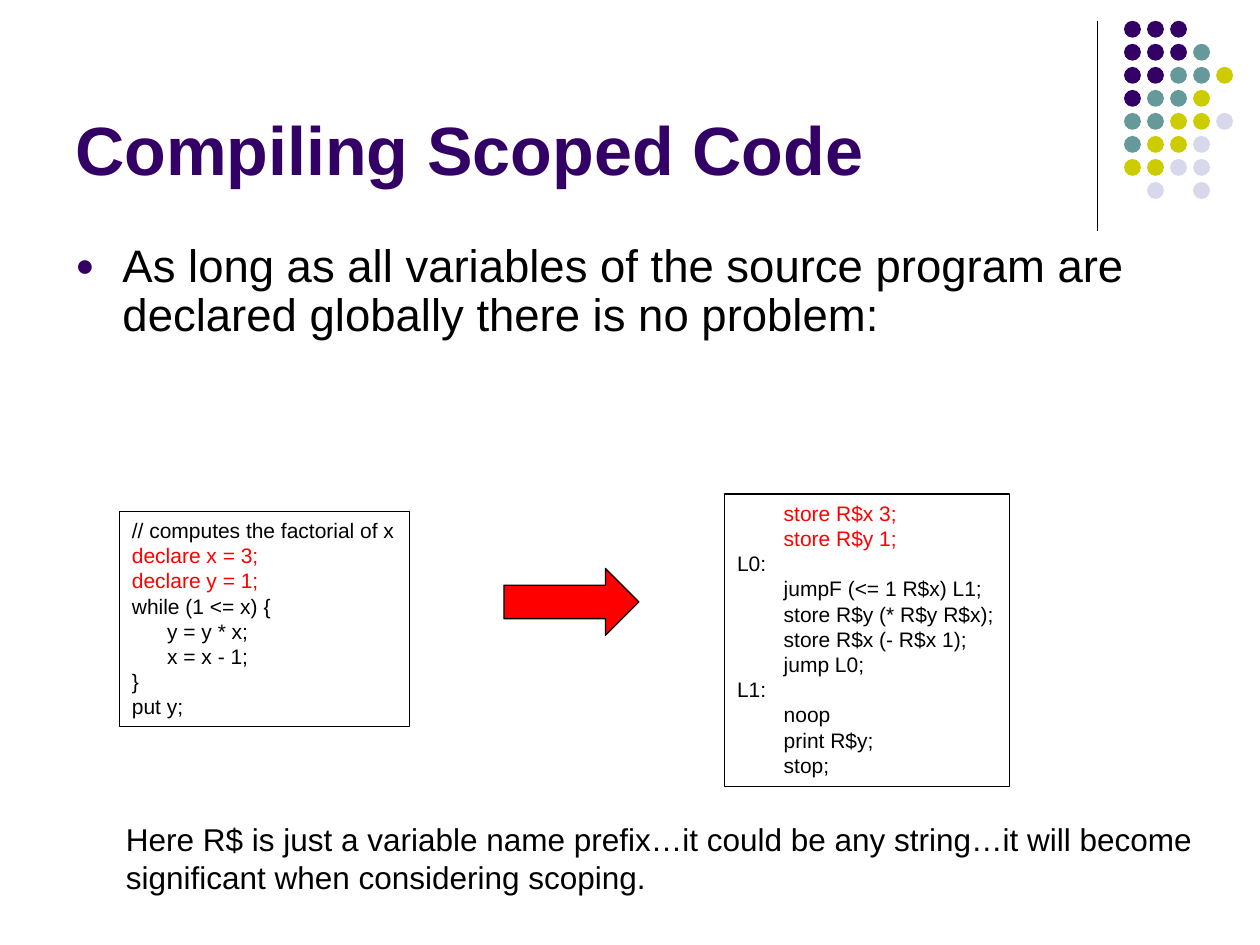
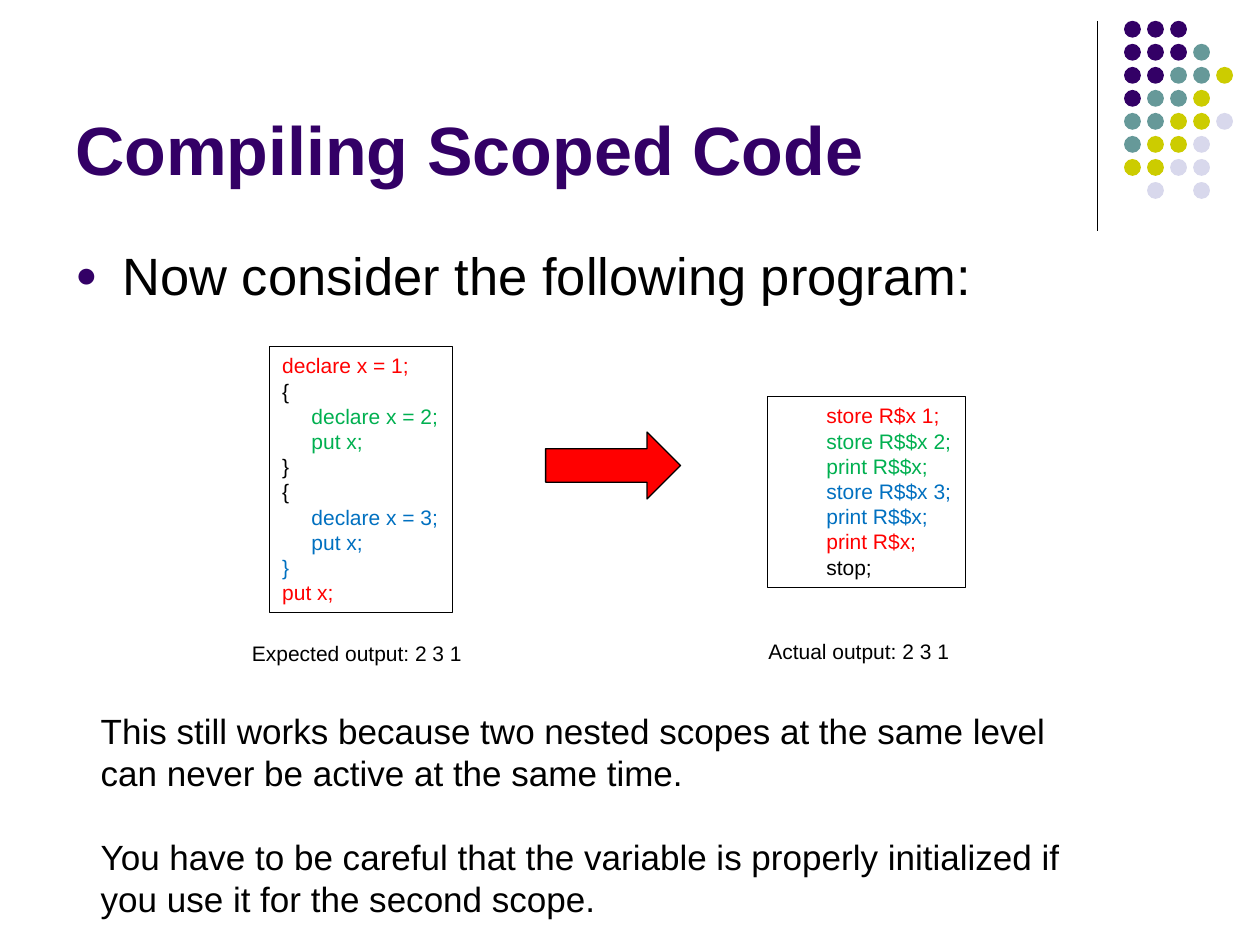
from lxml import etree
from pptx import Presentation
from pptx.dml.color import RGBColor
from pptx.enum.shapes import MSO_CONNECTOR, MSO_SHAPE
from pptx.enum.text import MSO_ANCHOR, PP_ALIGN
from pptx.oxml.ns import qn
from pptx.util import Cm, Pt

STRAIGHT = MSO_CONNECTOR.STRAIGHT
OVAL, RECTANGLE, ARROW = MSO_SHAPE.OVAL, MSO_SHAPE.RECTANGLE, MSO_SHAPE.RIGHT_ARROW
TOP, BOTTOM, LEFT = MSO_ANCHOR.TOP, MSO_ANCHOR.BOTTOM, PP_ALIGN.LEFT

FONT = "Arial"
BLACK, RED, GREEN, BLUE = "000000", "FF0000", "00B050", "0070C0"
PURPLE, TEAL, YELLOW, LILAC = "330066", "669999", "CCCC00", "D8D8EC"

DOT_COLOURS = {"P": PURPLE, "T": TEAL, "Y": YELLOW, "L": LILAC}
DOT_ROWS = ["PPP", "PPPT", "PPTTY", "PTTY", "TTYYL", "TYYL", "YYLL", " L L"]
DOT_LEFT, DOT_TOP, DOT_SIZE = 22.66, 0.42, 0.34
DOT_PITCH = 3.25 / 7

# Each code line is (indented, colour, text).
SLIDES = [
    {
        "bullet": "As long as all variables of the source program are "
                  "declared globally there is no problem:",
        "bullet_size": 26,
        "bullet_spacing": 0.9,
        "arrow": (10.16, 11.46),
        "listings": [
            {"place": (2.41, 10.31, 5.84, 4.34), "indent": 0.71, "lines": [
                (False, BLACK, "// computes the factorial of x"),
                (False, RED, "declare x = 3;"),
                (False, RED, "declare y = 1;"),
                (False, BLACK, "while (1 <= x) {"),
                (True, BLACK, "y = y * x;"),
                (True, BLACK, "x = x - 1;"),
                (False, BLACK, "}"),
                (False, BLACK, "put y;"),
            ]},
            {"place": (14.61, 9.96, 5.74, 5.89), "indent": 0.94, "lines": [
                (True, RED, "store R$x 3;"),
                (True, RED, "store R$y 1;"),
                (False, BLACK, "L0:"),
                (True, BLACK, "jumpF (<= 1 R$x) L1;"),
                (True, BLACK, "store R$y (* R$y R$x);"),
                (True, BLACK, "store R$x (- R$x 1);"),
                (True, BLACK, "jump L0;"),
                (False, BLACK, "L1:"),
                (True, BLACK, "noop"),
                (True, BLACK, "print R$y;"),
                (True, BLACK, "stop;"),
            ]},
        ],
        "notes": [
            ((2.29, 16.41, 22.38, 1.8), 18, [
                "Here R$ is just a variable name prefix…it could be any string…"
                "it will become significant when considering scoping."]),
        ],
    },
    {
        "bullet": "Now consider the following program:",
        "bullet_size": 30,
        "bullet_spacing": 1.0,
        "arrow": (11, 8.71),
        "listings": [
            {"place": (5.44, 6.99, 3.68, 5.36), "indent": 0.59, "lines": [
                (False, RED, "declare x = 1;"),
                (False, BLACK, "{"),
                (True, GREEN, "declare x = 2;"),
                (True, GREEN, "put x;"),
                (False, BLACK, "}"),
                (False, BLACK, "{"),
                (True, BLUE, "declare x = 3;"),
                (True, BLUE, "put x;"),
                (False, BLUE, "}"),
                (False, RED, "put x;"),
            ]},
            {"place": (15.47, 8, 3.99, 3.84), "indent": 0.94, "lines": [
                (True, RED, "store R$x 1;"),
                (True, GREEN, "store R$$x 2;"),
                (True, GREEN, "print R$$x;"),
                (True, BLUE, "store R$$x 3;"),
                (True, BLUE, "print R$$x;"),
                (True, RED, "print R$x;"),
                (True, BLACK, "stop;"),
            ]},
        ],
        "notes": [
            ((1.78, 14.17, 20.19, 4.52), 20, [
                "This still works because two nested scopes at the same level "
                "can never be active at the same time.",
                "You have to be careful that the variable is properly initialized if "
                "you use it for the second scope."]),
            ((4.83, 12.78, 4.9, 0.76), 12, ["Expected output: 2 3 1"]),
            ((15.24, 12.75, 4.3, 0.76), 12, ["Actual output: 2 3 1"]),
        ],
    },
]


def write(box, text, size, colour=BLACK, bold=False, anchor=TOP, indent=0,
          spacing=1.0, before=0):
    """Add one paragraph to a box, using its first paragraph if still empty."""
    frame = box.text_frame
    frame.word_wrap = True
    frame.vertical_anchor = anchor
    para = frame.add_paragraph() if frame.text else frame.paragraphs[0]
    para.alignment = LEFT
    para.line_spacing = spacing
    para.space_before = Pt(before)
    para._p.get_or_add_pPr().set("marL", str(Cm(indent)))
    span = para.add_run()
    span.text = text
    span.font.name = FONT
    span.font.size = Pt(size)
    span.font.bold = bold
    span.font.color.rgb = RGBColor.from_string(colour)
    return para


def draw(slide, kind, place, fill=None, line=None):
    shape = slide.shapes.add_shape(kind, *map(Cm, place))
    shape.shadow.inherit = False
    for part, colour in ((shape.fill, fill), (shape.line.fill, line)):
        if colour:
            part.solid()
            part.fore_color.rgb = RGBColor.from_string(colour)
        else:
            part.background()
    if line:
        shape.line.width = Pt(0.75)
    return shape


deck = Presentation()
deck.slide_width, deck.slide_height = Cm(25.4), Cm(19.05)

for content in SLIDES:
    slide = deck.slides.add_slide(deck.slide_layouts[6])

    # Corner ornament
    rule = slide.shapes.add_connector(STRAIGHT, Cm(22.12), Cm(0.42), Cm(22.12), Cm(4.65))
    rule.line.color.rgb = RGBColor.from_string(BLACK)
    rule.line.width = Pt(0.75)
    etree.SubElement(rule._element.spPr, qn("a:effectLst"))
    for row, letters in enumerate(DOT_ROWS):
        for column, letter in enumerate(letters):
            if letter in DOT_COLOURS:
                place = (DOT_LEFT + column * DOT_PITCH, DOT_TOP + row * DOT_PITCH,
                         DOT_SIZE, DOT_SIZE)
                draw(slide, OVAL, place, fill=DOT_COLOURS[letter])

    # Title and bullet
    title = slide.shapes.add_textbox(Cm(1.27), Cm(0.33), Cm(20.96), Cm(3.61))
    write(title, "Compiling Scoped Code", 39, colour=PURPLE, bold=True, anchor=BOTTOM)

    body = slide.shapes.add_textbox(Cm(1.27), Cm(4.78), Cm(22.86), Cm(3.05))
    size = content["bullet_size"]
    para = write(body, content["bullet"], size, indent=0.95,
                 spacing=content["bullet_spacing"], before=size * 0.2)
    properties = para._p.get_or_add_pPr()
    properties.set("indent", str(-Cm(0.95)))
    bullet_colour = etree.SubElement(properties, qn("a:buClr"))
    etree.SubElement(bullet_colour, qn("a:srgbClr"), val=PURPLE)
    etree.SubElement(properties, qn("a:buSzPct"), val="70000")
    etree.SubElement(properties, qn("a:buFont"), typeface=FONT)
    etree.SubElement(properties, qn("a:buChar"), char="●")

    # Source program, arrow, compiled program
    for listing in content["listings"]:
        box = draw(slide, RECTANGLE, listing["place"], line=BLACK)
        box.text_frame.margin_right = 0
        for indented, colour, text in listing["lines"]:
            write(box, text, 12, colour=colour,
                  indent=listing["indent"] if indented else 0)
    draw(slide, ARROW, (*content["arrow"], 2.72, 1.35), fill=RED, line=BLACK)

    # Remarks
    for place, size, paragraphs in content["notes"]:
        box = slide.shapes.add_textbox(*map(Cm, place))
        for number, text in enumerate(paragraphs):
            write(box, text, size, before=size * 1.2 if number else 0)

deck.save("out.pptx")
